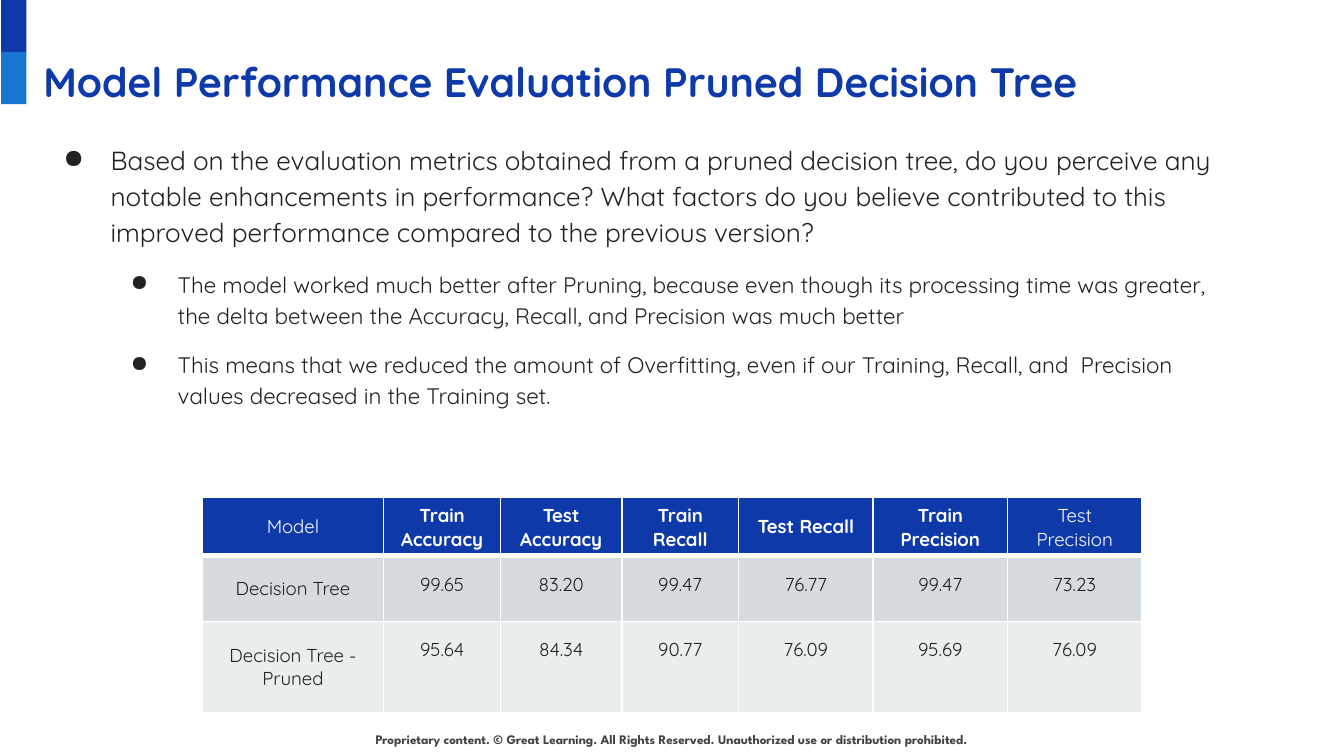
from lxml.etree import SubElement
from pptx import Presentation
from pptx.dml.color import RGBColor
from pptx.enum.shapes import MSO_SHAPE
from pptx.enum.text import MSO_ANCHOR, PP_ALIGN
from pptx.oxml.ns import qn
from pptx.util import Cm, Pt

COLORS = {
    "navy": "0E39A9",
    "blue": "1974D2",
    "ink": "222222",
    "footer": "434343",
    "white": "FFFFFF",
    "row_dark": "D5DBDE",
    "row_light": "EBEEEF",
}
BODY_FONT = "Quicksand"
FOOTER_FONT = "League Spartan"

TITLE = "Model Performance Evaluation Pruned Decision Tree"
FOOTER = ("Proprietary content. © Great Learning. All Rights Reserved. "
          "Unauthorized use or distribution prohibited.")
BULLETS = [
    (0, "Based on the evaluation metrics obtained from a pruned decision tree, do you perceive "
        "any notable enhancements in performance? What factors do you believe contributed to "
        "this improved performance compared to the previous version?"),
    (1, "The model worked much better after Pruning, because even though its processing time "
        "was greater, the delta between the Accuracy, Recall, and Precision was much better"),
    (1, "This means that we reduced the amount of Overfitting, even if our Training, Recall, "
        "and  Precision values decreased in the Training set."),
]
BULLET_SIZES = [14, 12]

HEADER = ["Model", "Train Accuracy", "Test Accuracy", "Train Recall",
          "Test Recall", "Train Precision", "Test Precision"]
LIGHT_HEADERS = {"Model", "Test Precision"}
RESULTS = [
    ["Decision Tree", "99.65", "83.20", "99.47", "76.77", "99.47", "73.23"],
    ["Decision Tree - Pruned", "95.64", "84.34", "90.77", "76.09", "95.69", "76.09"],
]
COLUMN_WIDTHS = [3.43, 2.21, 2.29, 2.21, 2.54, 2.54, 2.54]
ROW_HEIGHTS = [0.94, 1.24, 1.73]


def rgb(name):
    return RGBColor.from_string(COLORS[name])


def add_span(para, text, color, **formats):
    span = para.add_run()
    span.text = text
    span.font.color.rgb = rgb(color)
    for name, value in formats.items():
        setattr(span.font, name, value)


def add_text_frame(page, box):
    frame = page.shapes.add_textbox(*map(Cm, box)).text_frame
    margins = ["margin_left", "margin_top", "margin_right", "margin_bottom"]
    formats = {"word_wrap": True, "vertical_anchor": MSO_ANCHOR.TOP}
    formats.update(dict.fromkeys(margins, Cm(0.25)))
    for name, value in formats.items():
        setattr(frame, name, value)
    return frame


def add_corner_mark(page, box):
    """Stack two equal colour blocks inside the box."""
    left, top, width, height = box
    for index, color in enumerate(["navy", "blue"]):
        block = page.shapes.add_shape(
            MSO_SHAPE.RECTANGLE, Cm(left), Cm(top + index * height / 2),
            Cm(width), Cm(height / 2))
        block.shadow.inherit = False
        block.fill.solid()
        block.fill.fore_color.rgb = rgb(color)
        block.line.fill.background()


def add_title(page, box):
    para = add_text_frame(page, box).paragraphs[0]
    add_span(para, TITLE, "navy", name=BODY_FONT, size=Pt(22), bold=True)


def add_footer(page, box):
    para = add_text_frame(page, box).paragraphs[0]
    para.alignment = PP_ALIGN.CENTER
    para.line_spacing = 1.02
    add_span(para, FOOTER, "footer", name=FOOTER_FONT, size=Pt(7), bold=True)


def set_bullet(para, level):
    para.level = level
    properties = para._p.get_or_add_pPr()
    properties.set("marL", str(Cm(1.27 * (level + 1))))
    properties.set("indent", str(Cm(-0.89)))
    color = SubElement(properties, qn("a:buClr"))
    SubElement(color, qn("a:srgbClr"), val=COLORS["ink"])
    SubElement(properties, qn("a:buChar"), char="●")


def add_discussion(page, box):
    frame = add_text_frame(page, box)
    for index, (level, text) in enumerate(BULLETS):
        para = frame.add_paragraph() if index else frame.paragraphs[0]
        set_bullet(para, level)
        para.line_spacing = 1.15
        para.space_before = Pt(10 if index else 0)
        add_span(para, text, "ink", name=BODY_FONT, size=Pt(BULLET_SIZES[level]))


def set_borders(cell, row):
    """Draw white lines, with a thicker one under the header."""
    widths = {"L": 1, "R": 1, "T": 3 if row == 1 else 1, "B": 3 if row == 0 else 1}
    properties = cell._tc.get_or_add_tcPr()
    for side, width in widths.items():
        line = SubElement(properties, qn(f"a:ln{side}"), w=str(Pt(width)))
        fill = SubElement(line, qn("a:solidFill"))
        SubElement(fill, qn("a:srgbClr"), val=COLORS["white"])


def fill_cell(cell, text, row, column):
    is_header = row == 0
    is_value = row > 0 and column > 0
    set_borders(cell, row)
    cell.fill.solid()
    cell.fill.fore_color.rgb = rgb(["navy", "row_dark", "row_light"][row])
    cell.vertical_anchor = MSO_ANCHOR.TOP if is_value else MSO_ANCHOR.MIDDLE
    cell.margin_left = cell.margin_right = Cm(0.25)
    cell.margin_top = cell.margin_bottom = Cm(0.25 if is_value else 0.13)
    para = cell.text_frame.paragraphs[0]
    para.alignment = PP_ALIGN.CENTER
    if is_value:
        para.line_spacing = 1.15
    add_span(para, text, "white" if is_header else "ink", name=BODY_FONT, size=Pt(10),
             bold=is_header and text not in LIGHT_HEADERS)


def add_results_table(page, left, top):
    rows = [HEADER] + RESULTS
    table = page.shapes.add_table(
        len(rows), len(HEADER), Cm(left), Cm(top),
        Cm(sum(COLUMN_WIDTHS)), Cm(sum(ROW_HEIGHTS))).table
    table.first_row = table.horz_banding = False
    for column, width in zip(table.columns, COLUMN_WIDTHS):
        column.width = Cm(width)
    for row, height in zip(table.rows, ROW_HEIGHTS):
        row.height = Cm(height)
    for row, texts in enumerate(rows):
        for column, text in enumerate(texts):
            fill_cell(table.cell(row, column), text, row, column)


def main():
    deck = Presentation()
    deck.slide_width, deck.slide_height = Cm(25.4), Cm(14.29)
    page = deck.slides.add_slide(deck.slide_layouts[6])
    add_footer(page, (6.2, 13.67, 12.98, 0.76))
    add_corner_mark(page, (0.02, 0, 0.48, 1.97))
    add_title(page, (0.57, 0.82, 23.67, 1.6))
    add_discussion(page, (0.57, 2.4, 23.09, 2.36))
    add_results_table(page, 3.82, 9.4)
    deck.save("out.pptx")


if __name__ == "__main__":
    main()
